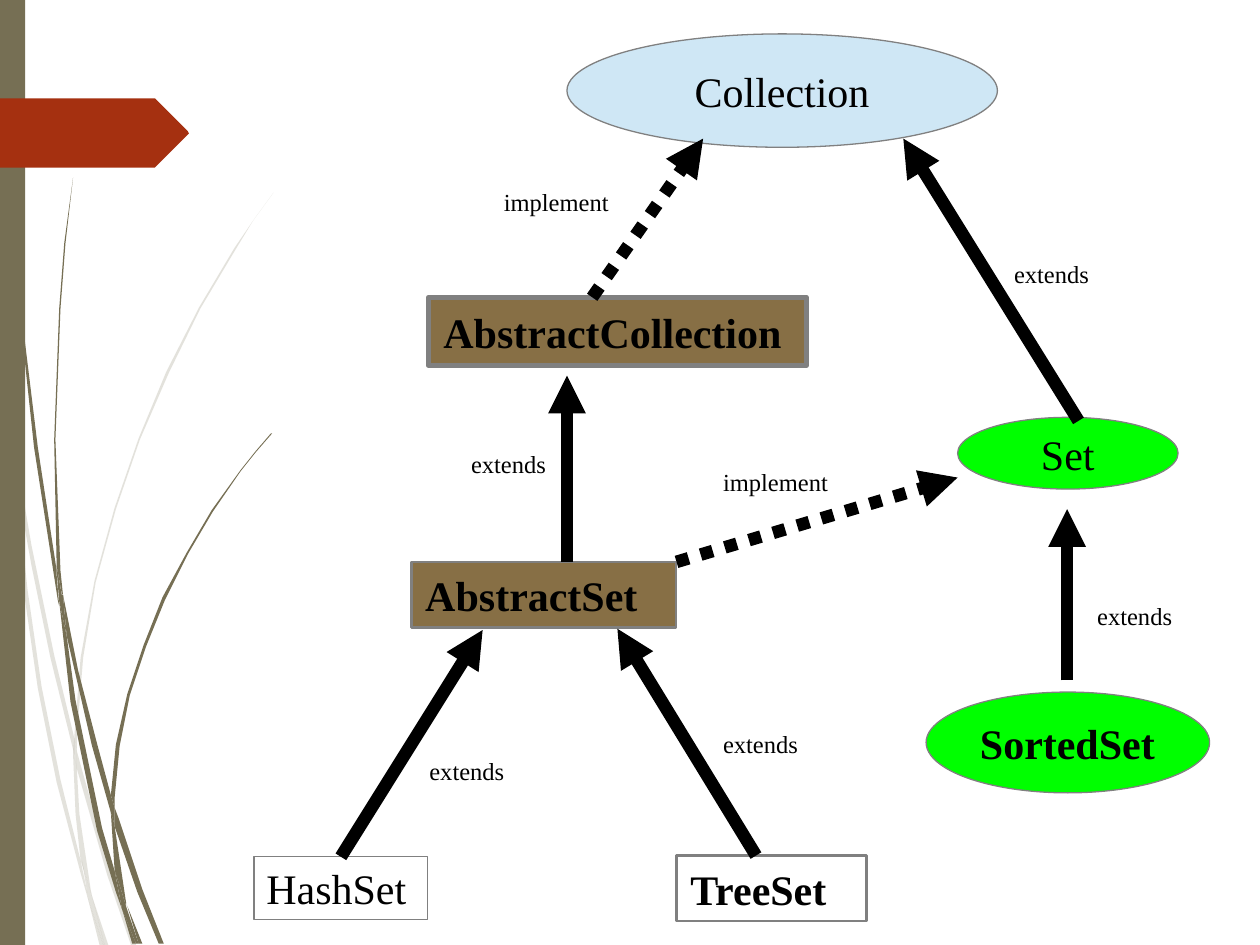
import pptx
import pptx.dml.color
import pptx.enum.dml
import pptx.enum.shapes
import pptx.enum.text
import pptx.oxml
import pptx.oxml.ns
import pptx.util

Pt = pptx.util.Pt
SHAPE = pptx.enum.shapes.MSO_SHAPE
ANCHOR = pptx.enum.text.MSO_ANCHOR
ALIGN = pptx.enum.text.PP_ALIGN
FONT = "Times New Roman"
COLORS = {
    "olive": "766F54", "red": "A53010", "sky": "CFE7F5", "green": "00FF00",
    "brown": "876F45", "grey": "808080", "black": "000000",
}
RGB = {name: pptx.dml.color.RGBColor.from_string(value) for name, value in COLORS.items()}

prs = pptx.Presentation()
prs.slide_width, prs.slide_height = Pt(720), Pt(540)
slide = prs.slides.add_slide(prs.slide_layouts[6])
shapes = slide.shapes


def paint(shape, color):
    """Give a shape a plain fill without outline or shadow."""
    shape.shadow.inherit = False
    shape.line.fill.background()
    shape.fill.solid()
    shape.fill.fore_color.rgb = RGB[color]


def draw_outline(points, color):
    """Draw a closed outline; one unit is a hundredth of an inch (0.72 pt)."""
    builder = shapes.build_freeform(*points[0], scale=Pt(0.72))
    builder.add_line_segments(points[1:], close=True)
    outline = builder.convert_to_shape()
    paint(outline, color)
    return outline


# Grass blades down the left side
pale_blades = [
    [(8, 350), (6, 322), (0, 282), (0, 299), (7, 344)],
    [(40, 522), (59, 599), (59, 586), (43, 520), (25, 433), (10, 345), (12, 376), (25, 449)],
    [(64, 607), (61, 596), (61, 610), (85, 694), (104, 750), (108, 750), (88, 692)],
    [(83, 750), (86, 750), (73, 711)],
    [(64, 683), (48, 619), (33, 545), (22, 469), (12, 376), (8, 350), (12, 410), (19, 470),
     (30, 546), (45, 621), (64, 693), (70, 714), (69, 707)],
    [(58, 599), (60, 646), (64, 683), (67, 692), (73, 711), (72, 706), (63, 646), (61, 610),
     (61, 608)],
    [(61, 584), (66, 522), (76, 462), (92, 404), (111, 349), (134, 296), (159, 245), (187, 198),
     (201, 175), (217, 153), (201, 175), (186, 197), (158, 244), (132, 295), (110, 348),
     (91, 403), (75, 461), (64.5, 522), (59, 584), (59, 586), (61, 596)],
    [(70, 714), (79, 750), (82, 750)],
    [(61, 608), (61, 610), (61, 596), (59, 586), (58, 599)],
    [(67, 692), (65, 683), (69, 707), (70, 714), (82, 750), (83, 750), (73, 711)],
]
dark_blades = [
    [(5, 110), (14, 233), (27, 355), (46, 477), (47, 481), (45, 457), (45, 453), (30, 355),
     (15, 232), (6, 109), (4, 48), (3, 0), (2, 0), (3, 48)],
    [(73, 592), (88, 645), (88, 633), (88, 631), (77, 590), (62, 532), (50, 472), (53, 505)],
    [(94, 649), (91, 641), (91, 656), (109, 708), (126, 749), (130, 749), (113, 706)],
    [(91, 691), (81, 657), (60, 556), (53, 505), (47, 477), (56, 557), (77, 659), (92, 708),
     (97, 722), (96, 717)],
    [(50, 472), (48, 453), (44, 349), (48, 245), (52, 193), (58, 141), (51, 193), (47, 245),
     (43, 349), (45, 449), (49, 471)],
    [(110, 749), (113, 749), (101, 719)],
    [(47, 477), (53, 505), (50, 472), (49, 472), (45, 449), (45, 453)],
    [(91, 633), (95, 592), (103, 552), (116, 513), (131, 476), (149, 440), (169, 406),
     (191, 374), (203, 359), (216, 344), (215, 344), (203, 358), (191, 373), (168, 405),
     (148, 439), (129, 474), (114, 512), (101, 551), (92, 591), (88, 631), (91, 641)],
    [(97, 722), (105, 749), (108, 749)],
    [(88, 645), (91, 691), (96, 706), (100, 719), (100, 716), (91, 656), (90, 651)],
    [(88, 645), (90, 651), (91, 656), (91, 641), (88, 631), (88, 633)],
    [(96, 706), (91, 691), (96, 717), (97, 722), (108, 749), (110, 749), (100, 719)],
]
for points in pale_blades:
    blade = draw_outline(points, "olive")
    tint = blade.fill._xPr.find(".//" + pptx.oxml.ns.qn("a:srgbClr"))
    tint.append(pptx.oxml.parse_xml(
        f'<a:alpha {pptx.oxml.ns.nsdecls("a")} val="20000"/>'))
for points in dark_blades:
    draw_outline(points, "olive")

side_bar = shapes.add_shape(SHAPE.RECTANGLE, 0, 0, Pt(14.4), Pt(540))
paint(side_bar, "olive")
draw_outline([(149, 107), (124, 132), (123, 133), (121, 133), (0, 133), (0, 78), (121, 78),
              (123, 78), (124, 79), (149, 104), (149.5, 105.5)], "red")

# Interfaces (ellipses) and classes (rectangles):
# name, left, top, width, height, fill, line width, side inset, bold
types = [
    ("Collection", 324, 19.4, 246, 64.8, "sky", 0.75, 7.2, False),
    ("Set", 547.2, 238.5, 126, 41, "green", 0.75, 7.2, False),
    ("SortedSet", 529.2, 395.5, 162, 57.6, "green", 0.75, 7.2, True),
    ("AbstractCollection", 244.8, 169.9, 216, 38.9, "brown", 2.89, 8.6, True),
    ("AbstractSet", 235.1, 321.1, 151.2, 37.4, "brown", 1.45, 7.9, True),
    ("HashSet", 145.1, 489.6, 99.4, 36, None, 0.75, 7.2, False),
    ("TreeSet", 386.6, 488.9, 108.7, 37.4, None, 1.45, 7.9, True),
]
nodes = {}
for name, left, top, width, height, fill, line_width, inset, bold in types:
    is_interface = fill in ("sky", "green")
    node = shapes.add_shape(SHAPE.OVAL if is_interface else SHAPE.RECTANGLE,
                            Pt(left), Pt(top), Pt(width), Pt(height))
    nodes[name] = node
    if fill:
        paint(node, fill)
    else:
        node.shadow.inherit = False
        node.fill.background()
    node.line.color.rgb = RGB["grey"]
    node.line.width = Pt(line_width)
    frame = node.text_frame
    frame.vertical_anchor = ANCHOR.MIDDLE if is_interface else ANCHOR.TOP
    frame.margin_left = frame.margin_right = Pt(inset)
    frame.margin_top = frame.margin_bottom = Pt(inset - 3.6)
    caption = frame.paragraphs[0]
    caption.text = name
    caption.alignment = ALIGN.CENTER if name in ("Collection", "Set") else ALIGN.LEFT
    caption.font.name, caption.font.size, caption.font.bold = FONT, Pt(24), bold
    caption.font.color.rgb = RGB["black"]

# Arrows from subtype to supertype: start, end, dotted for "implement", joined class
arrows = [
    ((616.3, 240.5), (516.2, 79.2), False, None),
    ((609.8, 388.8), (609.8, 290.9), False, None),
    ((338.4, 169.9), (401.8, 79.2), True, None),
    ((324, 321.1), (324, 214.6), False, None),
    ((386.6, 321.1), (547.2, 272.9), True, None),
    ((194.4, 489.6), (275.8, 360), False, "HashSet"),
    ((432, 488.9), (352.8, 359.3), False, None),
]
for start, end, dotted, subclass in arrows:
    arrow = shapes.add_connector(pptx.enum.shapes.MSO_CONNECTOR.STRAIGHT,
                                 *map(Pt, start + end))
    if subclass:
        arrow.begin_connect(nodes[subclass], 0)
    arrow.line.color.rgb = RGB["black"]
    arrow.line.width = Pt(7.2)
    if dotted:
        arrow.line.dash_style = pptx.enum.dml.MSO_LINE.ROUND_DOT
    namespace = pptx.oxml.ns.nsdecls("a")
    arrow.line._get_or_add_ln().append(
        pptx.oxml.parse_xml(f'<a:tailEnd {namespace} type="triangle"/>'))
    arrow._element.spPr.append(pptx.oxml.parse_xml(f"<a:effectLst {namespace}/>"))

relations = [
    ("implement", 280.8, 103.4), ("extends", 262.1, 253), ("extends", 572.4, 144.7),
    ("extends", 619.9, 340.1), ("extends", 406.1, 412.9), ("extends", 238.3, 428.7),
    ("implement", 406.1, 263.1),
]
for relation, left, top in relations:
    width = 74.5 if relation == "implement" else 58
    label = shapes.add_textbox(Pt(left), Pt(top), Pt(width), Pt(24.5))
    label.text_frame.word_wrap = False
    label.text_frame.auto_size = pptx.enum.text.MSO_AUTO_SIZE.SHAPE_TO_FIT_TEXT
    wording = label.text_frame.paragraphs[0]
    wording.text = relation
    wording.alignment = ALIGN.LEFT
    wording.font.name, wording.font.size = FONT, Pt(14)
    wording.font.color.rgb = RGB["black"]

prs.save("out.pptx")
